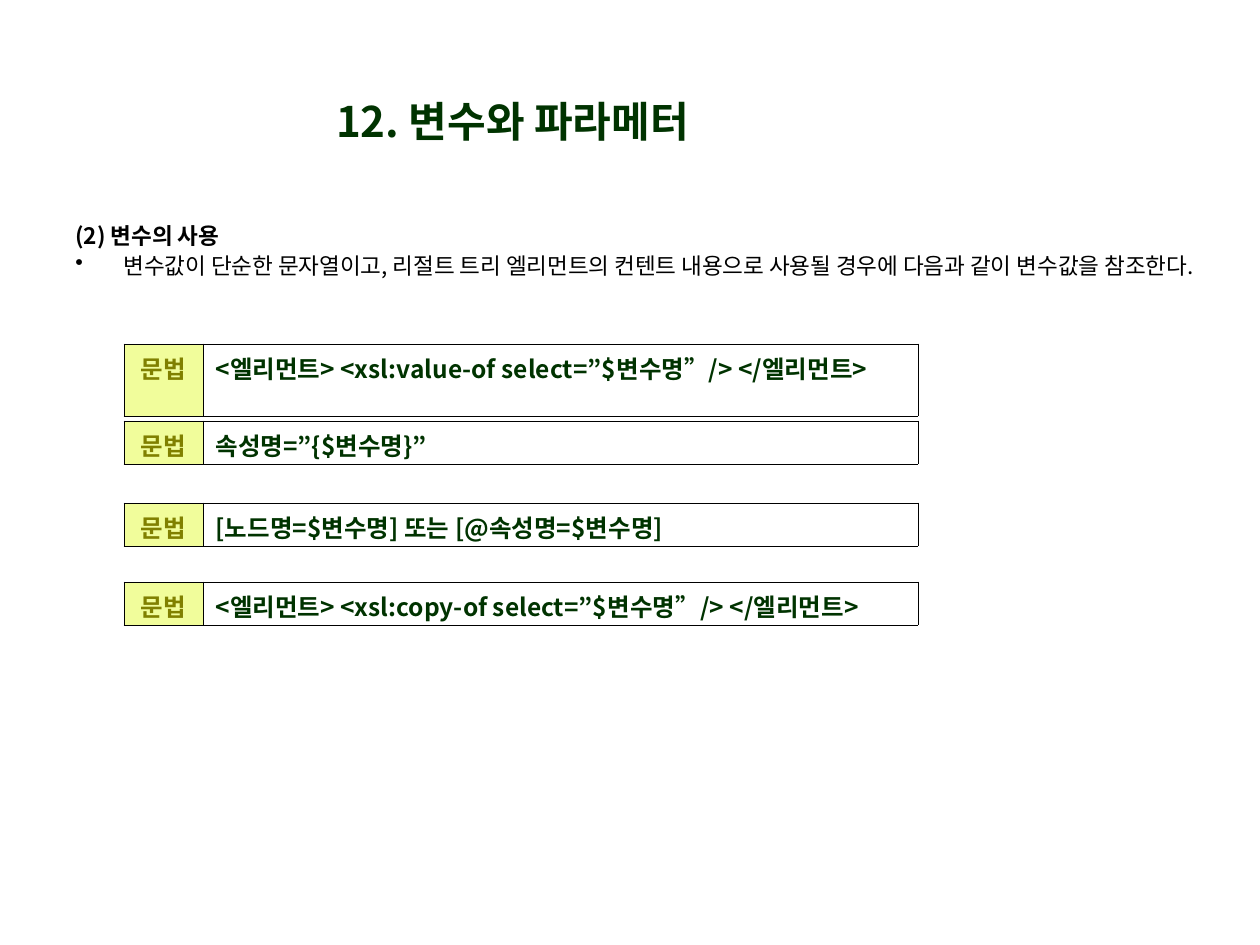
import dataclasses

import lxml.etree
import pptx
import pptx.dml.color
import pptx.enum.text
import pptx.oxml.ns
import pptx.util

PX_PER_INCH = 126
ALIGN = pptx.enum.text.PP_ALIGN
qn = pptx.oxml.ns.qn


@dataclasses.dataclass(frozen=True)
class Theme:
    font: str = "Noto Sans CJK KR"
    title_color: str = "003300"
    body_color: str = "000000"
    label_color: str = "808000"
    label_fill: str = "F1FD9B"
    border_color: str = "000000"
    title_size: float = 24
    body_size: float = 12.9
    syntax_size: float = 14
    border_width: float = 0.45


THEME = Theme()


def px(length):
    return pptx.util.Emu(length * 914400 // PX_PER_INCH)


def rgb(value):
    return pptx.dml.color.RGBColor.from_string(value)


def style(paragraph, size, color, bold=True, align=ALIGN.LEFT):
    paragraph.alignment = align
    font = paragraph.font
    font.size = pptx.util.Pt(size)
    font.bold = bold
    font.color.rgb = rgb(color)
    font.name = THEME.font
    defaults = paragraph._p.pPr.find(qn("a:defRPr"))
    lxml.etree.SubElement(defaults, qn("a:ea"), typeface=THEME.font)


def add_text_frame(slide, box):
    frame = slide.shapes.add_textbox(*map(px, box)).text_frame
    frame.word_wrap = True
    return frame


def add_title(slide, box, title):
    frame = add_text_frame(slide, box)
    frame.vertical_anchor = pptx.enum.text.MSO_ANCHOR.MIDDLE
    frame.text = title
    style(frame.paragraphs[0], THEME.title_size, THEME.title_color, align=ALIGN.CENTER)


def add_bullet(paragraph, indent):
    properties = paragraph._p.get_or_add_pPr()
    properties.set("marL", str(px(indent)))
    properties.set("indent", str(-px(indent)))
    lxml.etree.SubElement(properties, qn("a:buChar"), char="•")


def add_explanation(slide, box, heading, explanation):
    frame = add_text_frame(slide, box)
    frame.text = heading
    heading_line = frame.paragraphs[0]
    bullet_line = frame.add_paragraph()
    bullet_line.text = explanation
    add_bullet(bullet_line, 48)
    bullet_line.space_before = pptx.util.Pt(3.5)
    for line in (heading_line, bullet_line):
        line.line_spacing = 0.86
        style(line, THEME.body_size, THEME.body_color, bold=line is heading_line)


def add_borders(cell):
    properties = cell._tc.get_or_add_tcPr()
    for position, side in enumerate(("lnL", "lnR", "lnT", "lnB")):
        line = lxml.etree.Element(
            qn(f"a:{side}"), w=str(pptx.util.Pt(THEME.border_width)))
        fill = lxml.etree.SubElement(line, qn("a:solidFill"))
        lxml.etree.SubElement(fill, qn("a:srgbClr"), val=THEME.border_color)
        properties.insert(position, line)


def add_syntax_table(slide, box, syntax):
    """Place a one-row table: a tinted label and the syntax beside it."""
    left, top, width, height = box
    label_width = 79
    table = slide.shapes.add_table(1, 2, *map(px, box)).table
    table.first_row = table.horz_banding = False
    table.columns[0].width = px(label_width)
    table.columns[1].width = px(width - label_width)

    label_cell, syntax_cell = table.cell(0, 0), table.cell(0, 1)
    label_cell.text, syntax_cell.text = "문법", syntax
    label_cell.fill.solid()
    label_cell.fill.fore_color.rgb = rgb(THEME.label_fill)
    syntax_cell.fill.background()
    style(label_cell.text_frame.paragraphs[0], THEME.syntax_size,
          THEME.label_color, align=ALIGN.CENTER)
    style(syntax_cell.text_frame.paragraphs[0], THEME.syntax_size, THEME.title_color)
    for cell in (label_cell, syntax_cell):
        add_borders(cell)


def main():
    deck = pptx.Presentation()
    deck.slide_width, deck.slide_height = px(1260), px(945)
    slide = deck.slides.add_slide(deck.slide_layouts[6])

    add_explanation(
        slide, (63, 220, 1143, 103), "(2) 변수의 사용",
        "변수값이 단순한 문자열이고, 리절트 트리 엘리먼트의 컨텐트 내용으로 "
        "사용될 경우에 다음과 같이 변수값을 참조한다.")
    syntaxes = (
        (344, 72, "<엘리먼트> <xsl:value-of select=”$변수명”/> </엘리먼트>"),
        (421, 43, "속성명=”{$변수명}”"),
        (503, 43, "[노드명=$변수명] 또는 [@속성명=$변수명]"),
        (582, 43, "<엘리먼트> <xsl:copy-of select=”$변수명”/> </엘리먼트>"),
    )
    for top, height, syntax in syntaxes:
        add_syntax_table(slide, (124, top, 794, height), syntax)
    add_title(slide, (229, 87, 567, 68), "12. 변수와 파라메터")

    deck.save("out.pptx")


if __name__ == "__main__":
    main()
